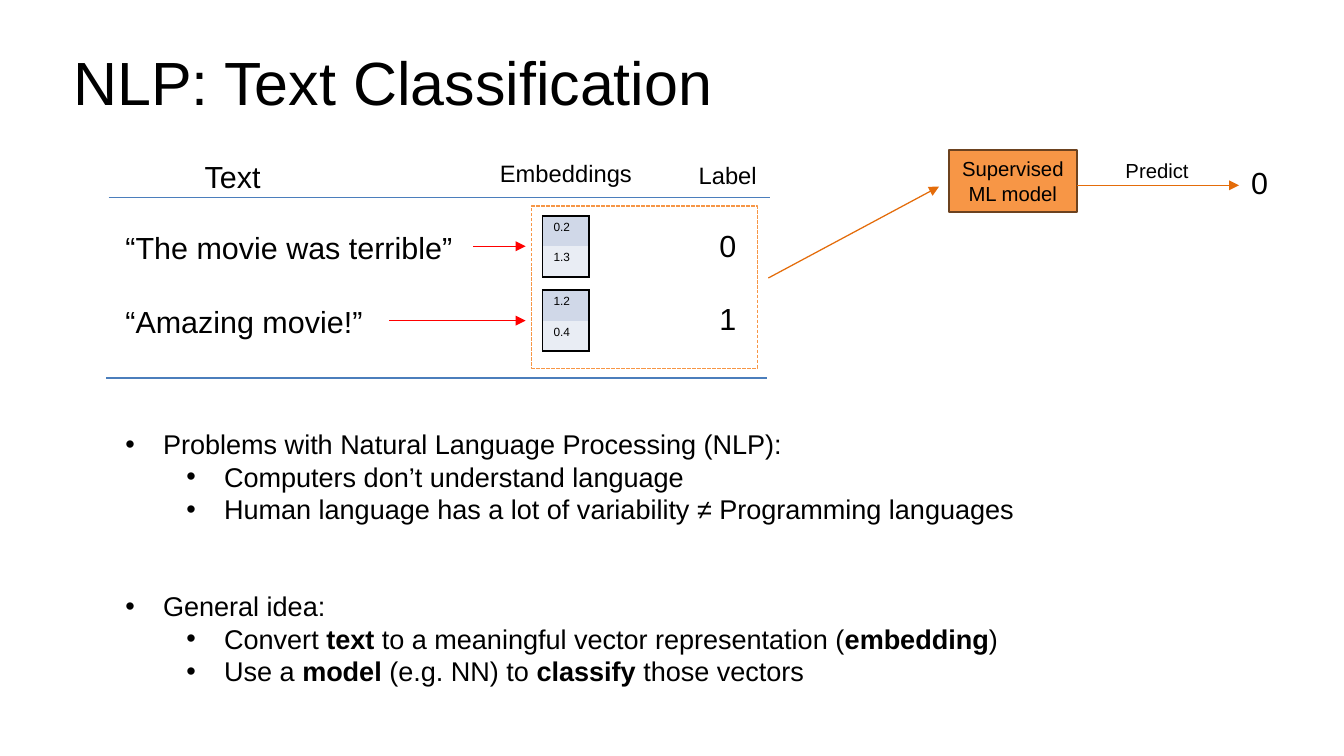
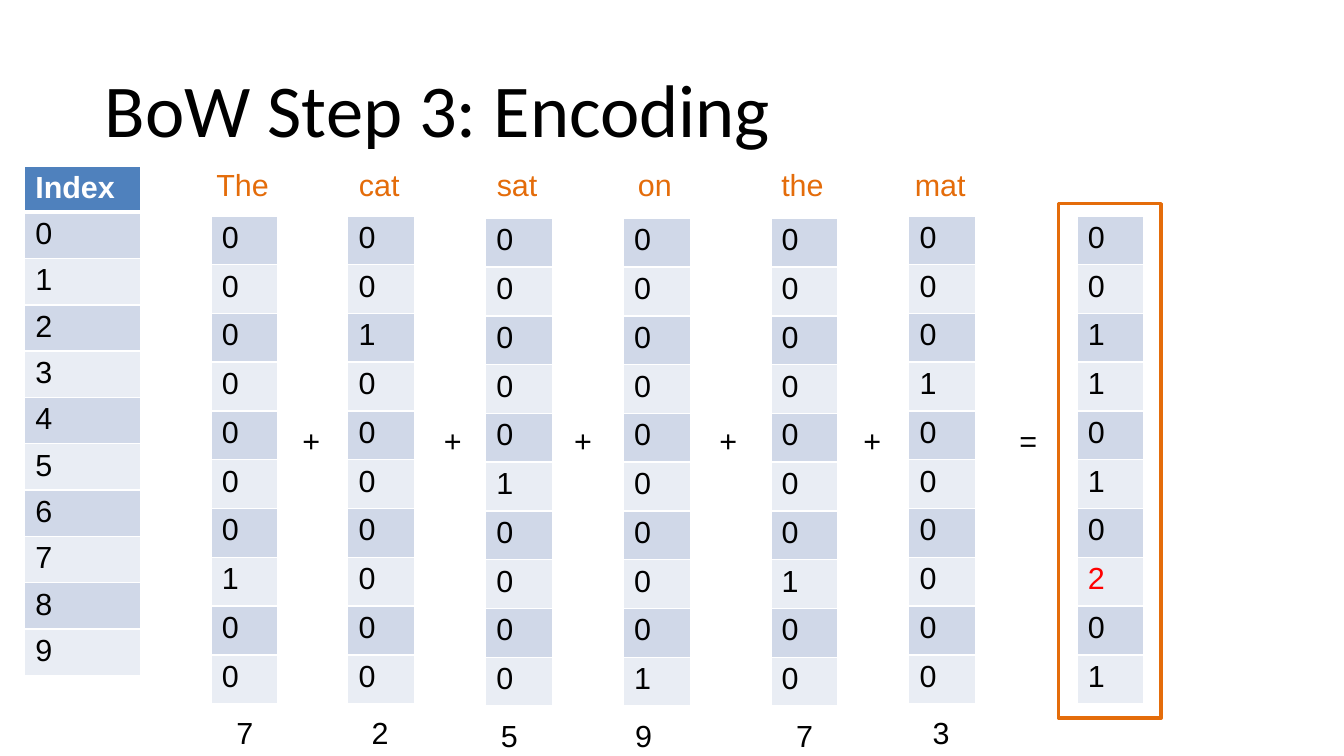
from dataclasses import dataclass

from lxml import etree
from pptx import Presentation
from pptx.dml.color import RGBColor
from pptx.enum.dml import MSO_LINE
from pptx.enum.shapes import MSO_CONNECTOR, MSO_SHAPE
from pptx.enum.text import MSO_ANCHOR, MSO_AUTO_SIZE, PP_ALIGN
from pptx.oxml.ns import qn
from pptx.util import Inches, Pt

LEFT, CENTER = PP_ALIGN.LEFT, PP_ALIGN.CENTER
MIDDLE = MSO_ANCHOR.MIDDLE
NO_AUTOFIT = MSO_AUTO_SIZE.NONE
STRAIGHT = MSO_CONNECTOR.STRAIGHT
RECTANGLE = MSO_SHAPE.RECTANGLE
SHORT_DASH = MSO_LINE.SQUARE_DOT
TITLE_ONLY = 5


@dataclass(frozen=True)
class Theme:
    """Colours, fonts and type sizes shared by the slides."""

    black: str = "000000"
    white: str = "FFFFFF"
    red: str = "FF0000"
    rule: str = "4B7EBC"
    header: str = "4F81BD"
    bands: tuple = ("D0D8E8", "E9EDF4")
    orange: str = "F79646"
    dark_orange: str = "E46C0A"
    brown: str = "6C421F"
    font: str = "Arial"
    title_font: str = "Calibri"
    large: int = 18
    body: int = 16
    heading: int = 14
    small: int = 12
    tiny: int = 7
    thin: float = 0.75


THEME = Theme()

IDEAS = [
    (0, 0, [("Problems with Natural Language Processing (NLP):", False)]),
    (1, 0, [("Computers don’t understand language", False)]),
    (1, 0, [("Human language has a lot of variability ≠ Programming languages", False)]),
    (0, 38, [("General idea:", False)]),
    (1, 0, [("Convert ", False), ("text ", True),
            ("to a meaningful vector representation (", False),
            ("embedding", True), (")", False)]),
    (1, 0, [("Use a ", False), ("model", True), (" (e.g. NN) to ", False),
            ("classify", True), (" those vectors", False)]),
]

WORDS = [
    ("The", 7, 1.73, 1.77, 1.84, 2.38),
    ("cat", 2, 2.85, 1.77, 2.95, 3.54),
    ("sat", 5, 3.98, 1.79, 4.01, 4.61),
    ("on", 9, 5.11, 1.79, 5.11, 5.8),
    ("the", 7, 6.32, 1.79, 6.43, 6.98),
    ("mat", 3, 7.45, 1.77, 7.55, 8.26),
]


def color(value):
    """Turn a hex string into a colour."""
    return RGBColor.from_string(value)


def inches(*lengths):
    """Convert several lengths from inches."""
    return [Inches(length) for length in lengths]


def add_run(paragraph, text, size=THEME.large, ink=THEME.black, bold=False, font=THEME.font):
    """Append a formatted run to a paragraph."""
    run = paragraph.add_run()
    run.text = text
    run.font.name = font
    run.font.size = Pt(size)
    run.font.bold = bold
    run.font.color.rgb = color(ink)


def add_text(slide, box, *lines, wrap=False, align=LEFT, gap=0, **style):
    """Add a text box with one paragraph per line."""
    frame = slide.shapes.add_textbox(*inches(*box)).text_frame
    frame.word_wrap = wrap
    for number, line in enumerate(lines):
        paragraph = frame.add_paragraph() if number else frame.paragraphs[0]
        paragraph.alignment = align
        if number:
            paragraph.space_before = Pt(gap)
        add_run(paragraph, line, **style)


def add_line(slide, start, end, ink, arrow=False):
    """Draw a thin straight line, with an optional arrowhead at its end."""
    connector = slide.shapes.add_connector(STRAIGHT, *inches(*start, *end))
    connector.line.color.rgb = color(ink)
    connector.line.width = Pt(THEME.thin)
    if arrow:
        etree.SubElement(connector.line._get_or_add_ln(), qn("a:tailEnd"), type="triangle")
    etree.SubElement(connector._element.spPr, qn("a:effectLst"))


def add_rectangle(slide, box, ink, width, fill=None, dash=None):
    """Draw a rectangle, hollow unless a fill is given."""
    shape = slide.shapes.add_shape(RECTANGLE, *inches(*box))
    shape.shadow.inherit = False
    shape.line.color.rgb = color(ink)
    shape.line.width = Pt(width)
    if dash:
        shape.line.dash_style = dash
    if fill:
        shape.fill.solid()
        shape.fill.fore_color.rgb = color(fill)
    else:
        shape.fill.background()
    return shape


def set_borders(cell, **edges):
    """Set the cell's left, top, right and bottom borders as (colour, points)."""
    properties = cell._tc.get_or_add_tcPr()
    for position, (tag, side) in enumerate(
            (("lnL", "left"), ("lnR", "right"), ("lnT", "top"), ("lnB", "bottom"))):
        ink, points = edges.get(side, (None, 0))
        line = etree.Element(qn(f"a:{tag}"), w=str(Pt(points)))
        if ink:
            solid = etree.SubElement(line, qn("a:solidFill"))
            etree.SubElement(solid, qn("a:srgbClr"), val=ink)
        else:
            etree.SubElement(line, qn("a:noFill"))
        properties.insert(position, line)


def add_vector(slide, box, values, size=THEME.large, heading=None, framed=False, marked=None):
    """Add a one-column banded table, with an optional heading or black frame."""
    texts = ([heading] if heading else []) + [str(value) for value in values]
    left, top, width, height = box
    table = slide.shapes.add_table(len(texts), 1, *inches(*box)).table
    table.first_row = table.horz_banding = False
    table.columns[0].width = Inches(width)
    last = len(texts) - 1
    for number, text in enumerate(texts):
        is_heading = bool(heading) and number == 0
        table.rows[number].height = Inches(height / len(texts))
        cell = table.cell(number, 0)
        cell.margin_left = cell.margin_right = Inches(0.09)
        cell.margin_top = cell.margin_bottom = Inches(0.04)
        band = THEME.bands[(number - bool(heading)) % 2]
        cell.fill.solid()
        cell.fill.fore_color.rgb = color(THEME.header if is_heading else band)
        ink = THEME.white if is_heading else THEME.red if text == marked else THEME.black
        add_run(cell.text_frame.paragraphs[0], text, size=size, ink=ink, bold=is_heading)
        edge = (THEME.black if framed else THEME.white, 1)
        edges = {"left": edge, "right": edge}
        if number == 0 or not framed:
            edges["top"] = (THEME.white, 3) if heading and number == 1 else edge
        if number == last or not framed:
            edges["bottom"] = (THEME.white, 3) if is_heading else edge
        set_borders(cell, **edges)


def add_titled_slide(presentation, text, box, size, font, inset):
    """Add a title-only slide and format its title."""
    slide = presentation.slides.add_slide(presentation.slide_layouts[TITLE_ONLY])
    title = slide.shapes.title
    title.left, title.top, title.width, title.height = inches(*box)
    frame = title.text_frame
    frame.auto_size = NO_AUTOFIT
    frame.word_wrap = True
    frame.vertical_anchor = MIDDLE
    frame.margin_left = frame.margin_right = Inches(inset)
    frame.margin_top = frame.margin_bottom = Inches(inset / 2)
    paragraph = frame.paragraphs[0]
    paragraph.alignment = LEFT
    paragraph.line_spacing = 0.9
    add_run(paragraph, text, size=size, font=font)
    return slide


def add_review_table(slide, left, top):
    """Lay out the reviews with their embeddings and labels."""
    add_text(slide, (left + 0.71, top, 0.66, 0.4), "Text", wrap=True)
    add_text(slide, (left + 3.13, top, 1.29, 0.34), "Embeddings", size=THEME.heading)
    add_text(slide, (left + 4.76, top + 0.02, 0.68, 0.34), "Label", size=THEME.heading)
    add_line(slide, (left + 0.02, top + 0.37), (left + 5.44, top + 0.37), THEME.rule)
    add_line(slide, (left, top + 1.85), (left + 5.42, top + 1.85), THEME.rule)
    add_text(slide, (left + 0.06, top + 0.58, 2.91, 1.01),
             "“The movie was terrible”", "“Amazing movie!”", gap=22)
    add_text(slide, (left + 4.93, top + 0.56, 0.34, 1.01), "0", "1", gap=21.5)
    add_rectangle(slide, (left + 3.49, top + 0.44, 1.85, 1.33),
                  THEME.orange, THEME.thin, dash=SHORT_DASH)
    for row, (arrow_start, values) in enumerate(((3.01, (0.2, 1.3)), (2.32, (1.2, 0.4)))):
        row_top = top + 0.52 + 0.61 * row
        add_vector(slide, (left + 3.58, row_top, 0.38, 0.5), values,
                   size=THEME.tiny, framed=True)
        add_line(slide, (left + arrow_start, row_top + 0.25), (left + 3.44, row_top + 0.25),
                 THEME.red, arrow=True)


def add_prediction(slide, left, top):
    """Draw the model, its input arrow and its prediction."""
    add_line(slide, (left - 1.48, top + 1.05), (left - 0.08, top + 0.3),
             THEME.dark_orange, arrow=True)
    model = add_rectangle(slide, (left, top, 1.05, 0.51), THEME.brown, 1, fill=THEME.orange)
    frame = model.text_frame
    frame.word_wrap = True
    frame.vertical_anchor = MIDDLE
    frame.paragraphs[0].alignment = CENTER
    add_run(frame.paragraphs[0], "Supervised ML model", size=THEME.small)
    add_line(slide, (left + 1.05, top + 0.29), (left + 2.38, top + 0.29),
             THEME.dark_orange, arrow=True)
    add_text(slide, (left + 1.35, top + 0.02, 0.72, 0.3), "Predict", size=THEME.small)
    add_text(slide, (left + 2.38, top + 0.07, 0.34, 0.4), "0")


def add_ideas(slide, box):
    """Write the two-level bullet list."""
    frame = slide.shapes.add_textbox(*inches(*box)).text_frame
    frame.word_wrap = True
    for number, (level, space, runs) in enumerate(IDEAS):
        paragraph = frame.add_paragraph() if number else frame.paragraphs[0]
        paragraph.level = level
        paragraph.space_before = Pt(space)
        properties = paragraph._p.get_or_add_pPr()
        properties.set("marL", str(Inches(0.31 + 0.5 * level)))
        properties.set("indent", str(Inches(-0.31)))
        etree.SubElement(properties, qn("a:buFont"), typeface=THEME.font)
        etree.SubElement(properties, qn("a:buChar"), char="•")
        for text, bold in runs:
            add_run(paragraph, text, size=THEME.body, bold=bold)


def add_word_column(slide, word, index, left, top, index_left):
    """Show a word above its one-hot vector and its index below."""
    add_text(slide, (left - 0.14, 1.31, 0.8, 0.4), word, wrap=True,
             align=CENTER, ink=THEME.dark_orange)
    add_vector(slide, (left, top, 0.55, 4), [int(row == index) for row in range(10)])
    add_text(slide, (index_left, top + 4.04, 0.34, 0.4), str(index))


def add_sum(slide, left, top):
    """Show the framed sum of the word vectors."""
    indices = [index for _, index, *_ in WORDS]
    add_vector(slide, (left + 0.15, top + 0.1, 0.55, 4),
               [indices.count(row) for row in range(10)], marked="2")
    add_rectangle(slide, (left, top, 0.84, 4.22), THEME.dark_orange, 2)


def build_classification(presentation):
    """Build the text classification slide."""
    slide = add_titled_slide(presentation, "NLP: Text Classification",
                             (0.6, 0.3, 9.51, 0.8), 36, THEME.font, 0)
    add_review_table(slide, 0.87, 1.25)
    add_prediction(slide, 7.78, 1.23)
    add_ideas(slide, (0.93, 3.46, 7.96, 2.26))


def build_encoding(presentation):
    """Build the bag-of-words encoding slide."""
    slide = add_titled_slide(presentation, "BoW Step 3: Encoding",
                             (0.76, 0.33, 9.51, 1.2), 44, THEME.title_font, 0.1)
    add_vector(slide, (0.2, 1.36, 0.95, 4.18), range(10), heading="Index")
    for word, index, left, top, index_left, operator_left in WORDS:
        add_word_column(slide, word, index, left, top, index_left)
        operator = "=" if word == WORDS[-1][0] else "+"
        add_text(slide, (operator_left, 3.41, 0.35, 0.4), operator)
    add_sum(slide, 8.68, 1.67)


def main():
    """Build and save the presentation."""
    presentation = Presentation()
    presentation.slide_width, presentation.slide_height = inches(11.02, 6.2)
    build_classification(presentation)
    build_encoding(presentation)
    presentation.save("out.pptx")


if __name__ == "__main__":
    main()
